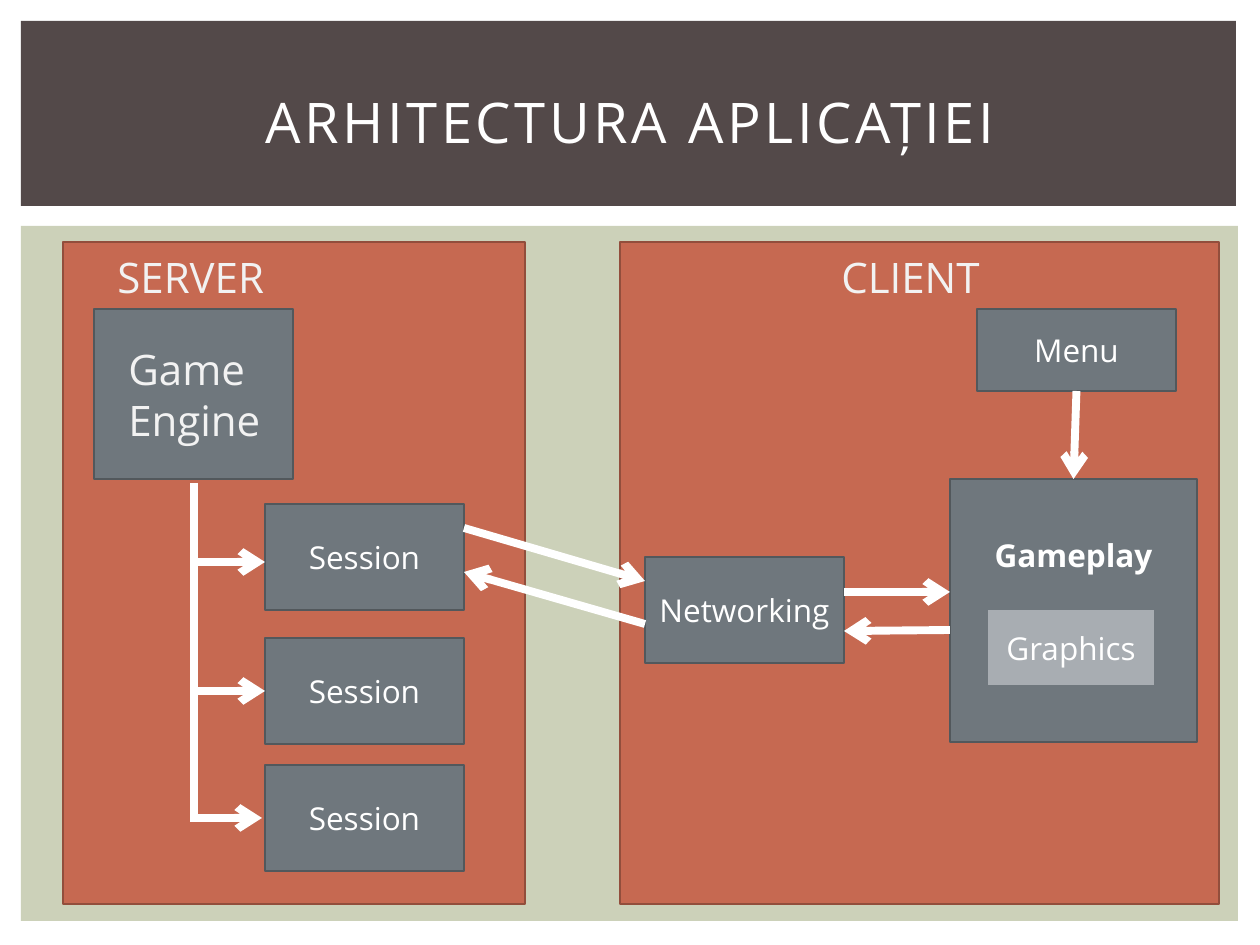
from typing import NamedTuple, Optional

from lxml import etree
from pptx import Presentation
from pptx import util as u
from pptx.dml.color import RGBColor
from pptx.enum import shapes, text
from pptx.oxml.ns import qn

PX = 914400 / 126
FONT = "Open Sans"
COLORS = {
    "sage": "CCD1B9", "brown": "534949", "rust": "C66951", "rust_edge": "924E3C",
    "slate": "6F777D", "slate_edge": "52585C", "silver": "A8ADB2",
    "white": "FFFFFF", "soft": "F2F2F2",
}
BOX_W, BOX_H = 199, 106
LABEL_W = 242


class Box(NamedTuple):
    name: str
    x: int
    y: int
    w: int
    h: int
    fill: str = "slate"
    edge: Optional[str] = "slate_edge"
    words: str = ""
    bold: bool = False
    lift: int = 0


class Label(NamedTuple):
    x: int
    y: int
    w: int
    h: int
    lines: tuple


class Link(NamedTuple):
    x1: int
    y1: int
    x2: int
    y2: int
    arrow: bool = True
    begin: Optional[tuple] = None
    end: Optional[tuple] = None


BOXES = [
    Box("body", 21, 226, 1217, 695, "sage", None),
    Box("header", 21, 21, 1215, 185, "brown", None),
    Box("server", 63, 242, 462, 662, "rust", "rust_edge"),
    Box("client", 620, 242, 599, 662, "rust", "rust_edge"),
    Box("engine", 94, 309, BOX_W, 170),
    *(Box(f"session{i}", 265, y, BOX_W, BOX_H, words="Session")
      for i, y in enumerate((504, 638, 765), 1)),
    Box("networking", 645, 557, BOX_W, BOX_H, words="Networking"),
    Box("menu", 977, 309, BOX_W, 82, words="Menu"),
    Box("gameplay", 950, 479, 247, 263, words="Gameplay", bold=True, lift=112),
    Box("graphics", 987, 609, 168, 77, "silver", "slate", "Graphics"),
]
LABELS = [
    Label(105, 242, LABEL_W, 63, ("SERVER",)),
    Label(829, 242, LABEL_W, 63, ("CLIENT",)),
    Label(116, 334, LABEL_W, 115, ("Game", "Engine")),
]
LINKS = [
    Link(194, 483, 194, 822, arrow=False),
    Link(197, 562, 265, 562),
    Link(197, 691, 265, 691, end=("session2", 1)),
    Link(194, 818, 262, 818),
    Link(1076, 391, 1074, 479, begin=("menu", 2), end=("gameplay", 0)),
    Link(464, 528, 645, 581),
    Link(645, 624, 464, 572),
    Link(844, 592, 950, 592),
    Link(950, 630, 844, 631),
]


def px(n: float) -> int:
    return round(n * PX)


def rgb(name: str) -> RGBColor:
    return RGBColor.from_string(COLORS[name])


def add_run(p, words: str, size: int, color: str, bold: bool = False):
    r = p.add_run()
    r.text = words
    r.font.name = FONT
    r.font.size = u.Pt(size)
    r.font.bold = bold
    r.font.color.rgb = rgb(color)
    return r


def draw_box(s, b: Box):
    sp = s.shapes.add_shape(shapes.MSO_SHAPE.RECTANGLE, *map(px, (b.x, b.y, b.w, b.h)))
    sp.shadow.inherit = False
    sp.fill.solid()
    sp.fill.fore_color.rgb = rgb(b.fill)
    if b.edge:
        sp.line.color.rgb = rgb(b.edge)
        sp.line.width = u.Pt(1.5)
    else:
        sp.line.fill.background()
    if b.words:
        tf = sp.text_frame
        tf.word_wrap = True
        tf.vertical_anchor = text.MSO_ANCHOR.MIDDLE
        tf.margin_bottom = tf.margin_top + px(b.lift)
        p = tf.paragraphs[0]
        p.alignment = text.PP_ALIGN.CENTER
        add_run(p, b.words, 18, "white", b.bold)
    return sp


def draw_label(s, label: Label) -> None:
    sp = s.shapes.add_textbox(*map(px, (label.x, label.y, label.w, label.h)))
    tf = sp.text_frame
    tf.word_wrap = True
    tf.margin_top, tf.margin_bottom = px(10), px(2)
    for i, line in enumerate(label.lines):
        p = tf.add_paragraph() if i else tf.paragraphs[0]
        p.line_spacing = u.Pt(28.8)
        add_run(p, line, 24, "soft")


def draw_title(s, words: str) -> None:
    sp = s.shapes.add_textbox(*map(px, (53, 49, 1155, 145)))
    tf = sp.text_frame
    tf.word_wrap = True
    tf.vertical_anchor = text.MSO_ANCHOR.MIDDLE
    p = tf.paragraphs[0]
    p.alignment = text.PP_ALIGN.CENTER
    r = add_run(p, words, 32, "white")
    r.font._element.set("spc", "200")


def draw_link(s, link: Link, drawn: dict) -> None:
    ends = map(px, (link.x1, link.y1, link.x2, link.y2))
    c = s.shapes.add_connector(shapes.MSO_CONNECTOR.STRAIGHT, *ends)
    c.line.color.rgb = rgb("white")
    c.line.width = u.Pt(4.5)
    if link.begin:
        name, side = link.begin
        c.begin_connect(drawn[name], side)
    if link.end:
        name, side = link.end
        c.end_connect(drawn[name], side)
    if link.arrow:
        etree.SubElement(c.line._get_or_add_ln(), qn("a:tailEnd"), type="arrow")
    etree.SubElement(c._element.spPr, qn("a:effectLst"))


def main() -> None:
    prs = Presentation()
    prs.slide_width, prs.slide_height = px(1260), px(945)
    s = prs.slides.add_slide(prs.slide_layouts[6])
    drawn = {b.name: draw_box(s, b) for b in BOXES}
    draw_title(s, "ARHITECTURA APLICAȚIEI")
    for label in LABELS:
        draw_label(s, label)
    for link in LINKS:
        draw_link(s, link, drawn)
    prs.save("out.pptx")


if __name__ == "__main__":
    main()
